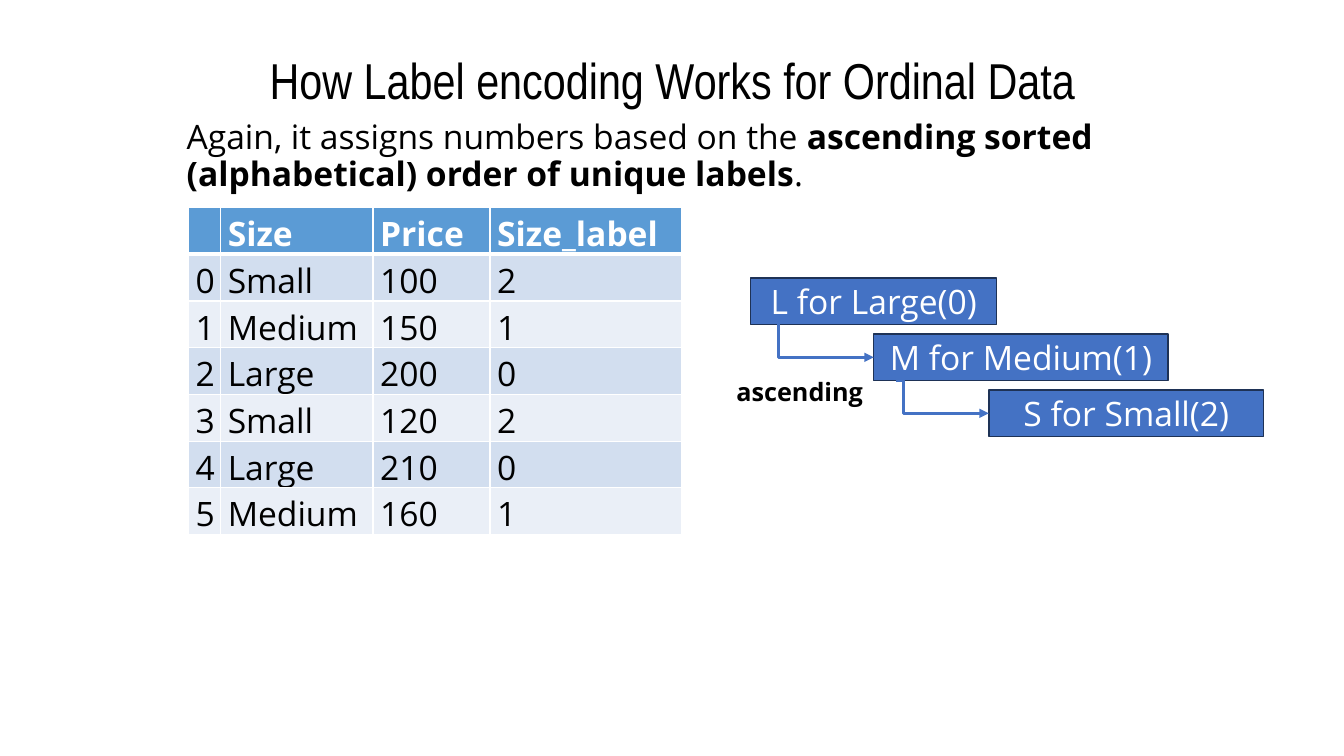
"""Build a slide on label encoding of ordinal data."""
import dataclasses

import pptx
import pptx.dml.color
import pptx.enum.shapes
import pptx.enum.text
import pptx.oxml.ns
import pptx.util
from lxml import etree

Cm = pptx.util.Cm
Pt = pptx.util.Pt
ALIGN = pptx.enum.text.PP_ALIGN
ANCHOR = pptx.enum.text.MSO_ANCHOR
FIT = pptx.enum.text.MSO_AUTO_SIZE


@dataclasses.dataclass(frozen=True)
class Theme:
    black: str = "000000"
    white: str = "FFFFFF"
    head: str = "5B9BD5"
    bands: tuple = ("EAEFF7", "D2DEEF")
    blue: str = "4472C4"
    edge: str = "1E3256"
    narrow: str = "Arial Narrow"
    sans: str = "Open Sans"
    title: int = 36
    text: int = 24
    note: int = 18


THEME = Theme()
ROWS = [
    ("", "Size", "Price", "Size_label"),
    ("0", "Small", "100", "2"),
    ("1", "Medium", "150", "1"),
    ("2", "Large", "200", "0"),
    ("3", "Small", "120", "2"),
    ("4", "Large", "210", "0"),
    ("5", "Medium", "160", "1"),
]
COLS = (0.81, 3.84, 2.95, 4.83)
STEPS = [
    ("L for Large(0)", 18.92, 6.2),
    ("M for Medium(1)", 22.02, 7.42),
    ("S for Small(2)", 24.92, 6.93),
]
LINKS = [(19.58, 8.1, 1600), (22.58, 9.58, 7800)]
TOP, STEP, TALL = 7.01, 1.41, 1.17


def rgb(code):
    return pptx.dml.color.RGBColor.from_string(code)


def node(parent, tag, **attrs):
    return etree.SubElement(parent, pptx.oxml.ns.qn(tag), attrs)


def write(frame, text, face=THEME.sans, size=THEME.text, color=THEME.black,
          bold=False, align=ALIGN.LEFT, space=0.9):
    para = frame.paragraphs[0]
    para.alignment = align
    para.line_spacing = space
    para.space_before = Pt(0)
    run = para.add_run()
    run.text = text
    run.font.name = face
    run.font.size = Pt(size)
    run.font.bold = bold
    run.font.color.rgb = rgb(color)


def place(shape, left, top, width, height):
    shape.left, shape.top = Cm(left), Cm(top)
    shape.width, shape.height = Cm(width), Cm(height)
    frame = shape.text_frame
    frame.word_wrap = True
    frame.auto_size = FIT.SHAPE_TO_FIT_TEXT
    frame.vertical_anchor = ANCHOR.TOP
    return frame


def add_body(holder):
    frame = place(holder, 4.45, 2.92, 24.99, 2.31)
    write(frame, "Again, it assigns numbers based on the ")
    write(frame, "ascending sorted (alphabetical) order of unique labels", bold=True)
    write(frame, ".")
    props = frame.paragraphs[0]._p.get_or_add_pPr()
    props.set("marL", "0")
    props.set("indent", "0")
    node(props, "a:buNone")


def add_edges(cell, head):
    props = cell._tc.get_or_add_tcPr()
    for side in "LRTB":
        if side == "T" and not head:
            continue
        width = Pt(3 if head and side == "B" else 1)
        line = node(props, f"a:ln{side}", w=str(width))
        node(node(line, "a:solidFill"), "a:srgbClr", val=THEME.white)


def fill_cell(cell, text, row, col):
    head = row == 0
    add_edges(cell, head)
    cell.fill.solid()
    cell.fill.fore_color.rgb = rgb(THEME.head if head else THEME.bands[row % 2])
    cell.margin_left = cell.margin_right = Cm(0.18)
    cell.margin_top = cell.margin_bottom = Cm(0.08)
    cell.vertical_anchor = ANCHOR.MIDDLE
    if text:
        write(cell.text_frame, text, bold=head, space=1.0,
              color=THEME.white if head else THEME.black,
              align=ALIGN.LEFT if col else ALIGN.RIGHT)


def add_grid(shapes):
    table = shapes.add_table(len(ROWS), len(COLS), Cm(4.75), Cm(5.23),
                             Cm(sum(COLS)), Cm(1.04 * len(ROWS))).table
    for col, width in enumerate(COLS):
        table.columns[col].width = Cm(width)
    for row, texts in enumerate(ROWS):
        for col, text in enumerate(texts):
            fill_cell(table.cell(row, col), text, row, col)


def add_box(shapes, text, left, top, width):
    box = shapes.add_shape(pptx.enum.shapes.MSO_SHAPE.RECTANGLE,
                           Cm(left), Cm(top), Cm(width), Cm(TALL))
    box.shadow.inherit = False
    box.fill.solid()
    box.fill.fore_color.rgb = rgb(THEME.blue)
    box.line.color.rgb = rgb(THEME.edge)
    box.line.width = Pt(1)
    box.text_frame.vertical_anchor = ANCHOR.MIDDLE
    write(box.text_frame, text, color=THEME.white, align=ALIGN.CENTER, space=1.0)


def add_link(shapes, start, end, bend):
    link = shapes.add_connector(pptx.enum.shapes.MSO_CONNECTOR.ELBOW,
                                *map(Cm, start + end))
    link.line.color.rgb = rgb(THEME.blue)
    link.line.width = Pt(2.25)
    props = link._element.spPr
    node(props.find(pptx.oxml.ns.qn("a:ln")), "a:tailEnd", type="triangle")
    node(props, "a:effectLst")
    guides = props.find(".//" + pptx.oxml.ns.qn("a:avLst"))
    node(guides, "a:gd", name="adj1", fmla=f"val {bend}")


def add_steps(shapes):
    for rank, (text, left, width) in enumerate(STEPS):
        add_box(shapes, text, left, TOP + rank * STEP, width)
    for rank, (left, top, bend) in enumerate(LINKS, 1):
        end = (STEPS[rank][1], TOP + rank * STEP + TALL / 2)
        add_link(shapes, (left, top), end, bend)
    note = shapes.add_textbox(0, 0, 0, 0)
    frame = place(note, 18.31, 9.45, 3.71, 1.02)
    frame.word_wrap = False
    write(frame, "ascending", size=THEME.note, bold=True)


def main():
    deck = pptx.Presentation()
    deck.slide_width, deck.slide_height = Cm(33.87), Cm(19.05)
    slide = deck.slides.add_slide(deck.slide_layouts[1])
    title = place(slide.shapes.title, 4.45, 1.12, 24.99, 1.8)
    write(title, "How Label encoding Works for Ordinal Data", face=THEME.narrow,
          size=THEME.title, align=ALIGN.CENTER, space=1.0)
    add_body(slide.placeholders[1])
    add_grid(slide.shapes)
    add_steps(slide.shapes.add_group_shape().shapes)
    deck.save("out.pptx")


if __name__ == "__main__":
    main()
